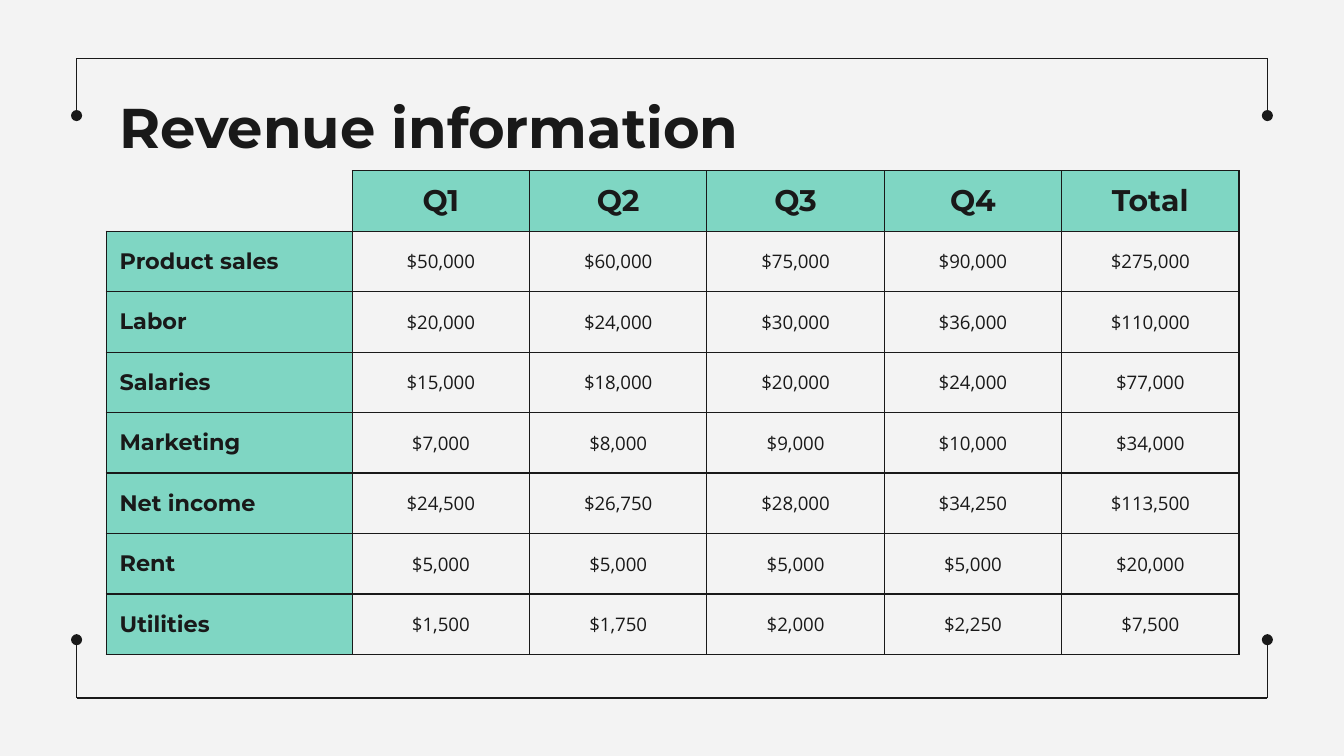
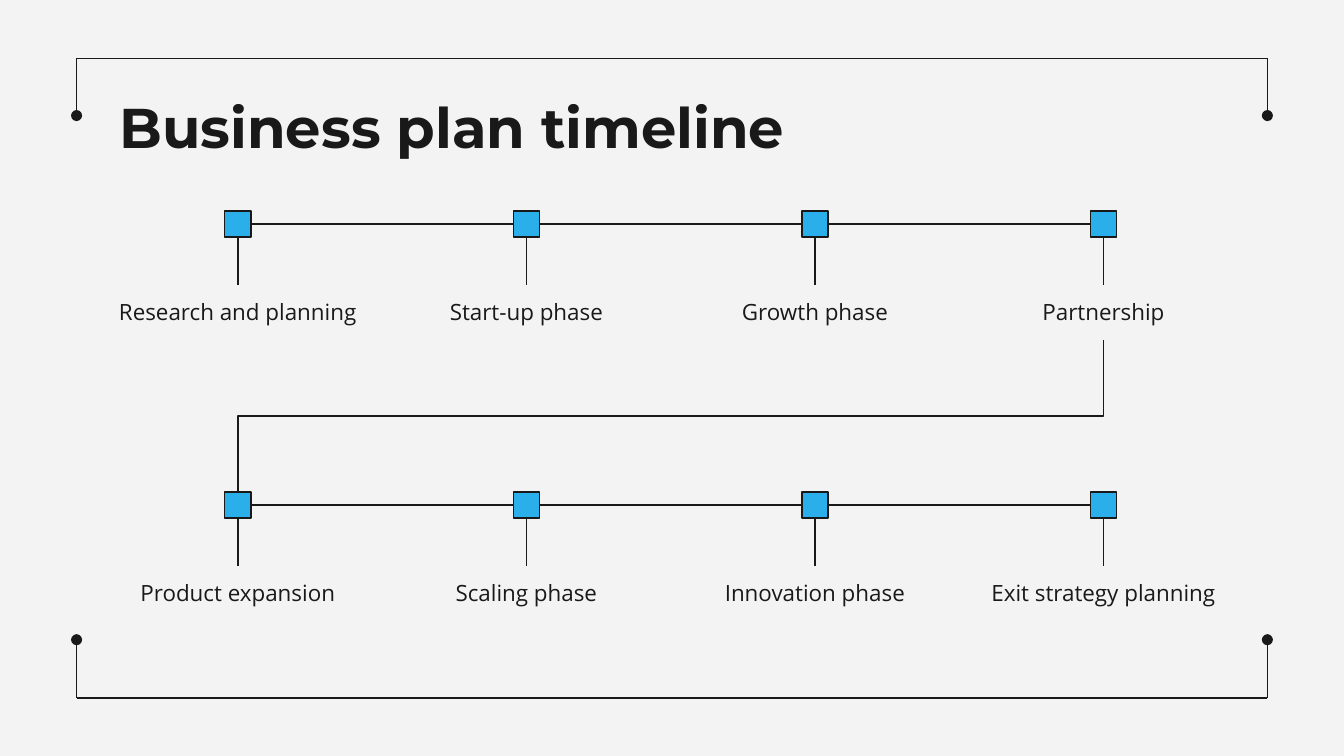
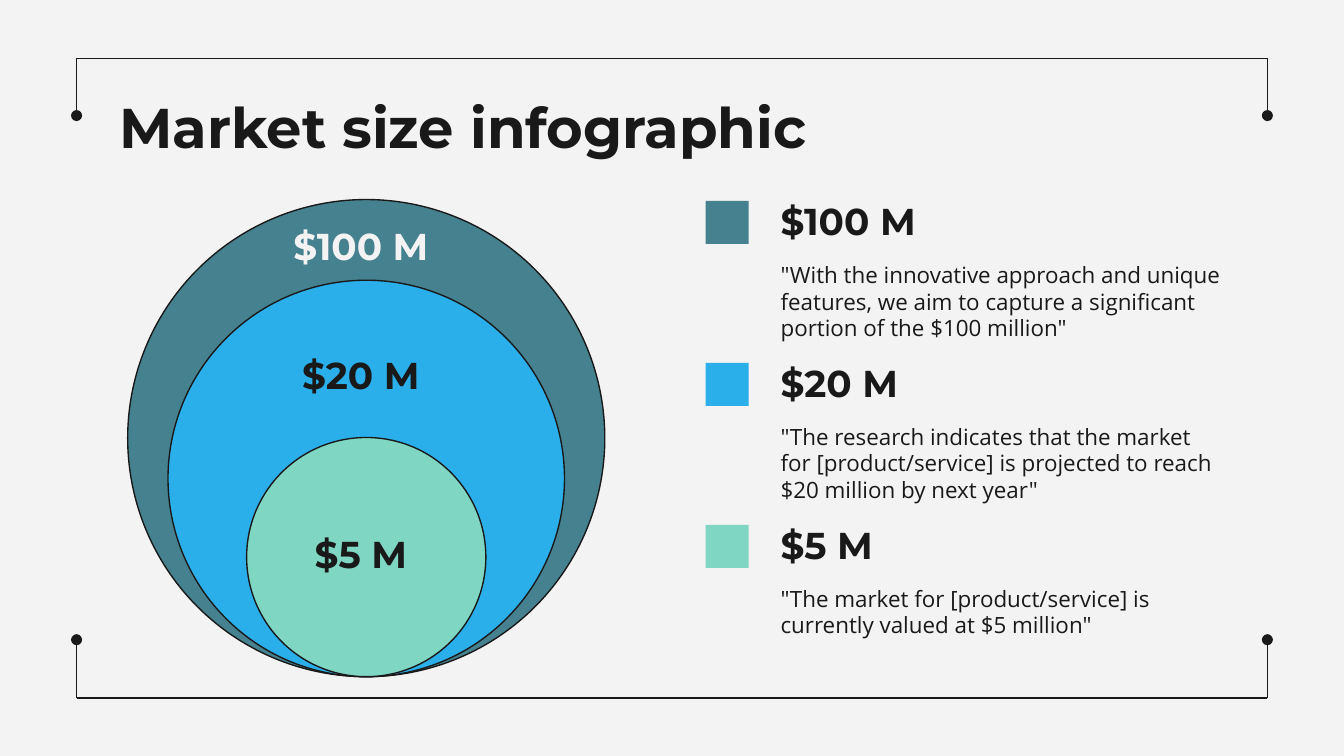
from dataclasses import dataclass

from lxml.etree import SubElement
from pptx import Presentation
from pptx.dml.color import RGBColor as Color
from pptx.enum.shapes import MSO_CONNECTOR as Link, MSO_SHAPE as Preset
from pptx.enum.text import MSO_ANCHOR as Anchor, PP_ALIGN as Align
from pptx.oxml import parse_xml
from pptx.oxml.ns import nsdecls, qn
from pptx.util import Inches, Pt

TOP, LEFT, BOTTOM, RIGHT = range(4)
GRID_COLUMNS = 100


@dataclass(frozen=True)
class Theme:
    """Colours, fonts and type sizes of the presentation."""

    paper: str = "F3F3F3"
    ink: str = "191919"
    mint: str = "7FD6C3"
    blue: str = "2AAFEB"
    teal: str = "45818E"
    heading: str = "Montserrat"
    body: str = "Open Sans"
    title_size: int = 30
    figure_size: int = 20
    header_size: int = 16
    body_size: int = 12
    value_size: int = 10
    line_width: float = 0.75


THEME = Theme()


def write_text(holder, text, size=THEME.body_size, font=THEME.body, color=THEME.ink,
               bold=False, align=Align.LEFT):
    """Write one formatted paragraph into a text frame."""
    paragraph = holder.paragraphs[0]
    paragraph.alignment = align
    run = paragraph.add_run()
    run.text = text
    run.font.size = Pt(size)
    run.font.name = font
    run.font.bold = bold
    run.font.color.rgb = Color.from_string(color)


class Deck:
    """Draws styled elements on the current slide, on a square grid."""

    def __init__(self, theme):
        """Start a wide presentation with a plain background."""
        self.theme = theme
        self.presentation = Presentation()
        self.presentation.slide_width = Inches(10)
        self.presentation.slide_height = Inches(5.625)
        fill = self.presentation.slide_master.background.fill
        fill.solid()
        fill.fore_color.rgb = Color.from_string(theme.paper)
        self.slide = None

    def grid(self, *counts):
        """Turn grid counts into lengths."""
        unit = self.presentation.slide_width / GRID_COLUMNS
        return [round(count * unit) for count in counts]

    def new_slide(self, title):
        """Add a slide with its frame and title."""
        self.slide = self.presentation.slides.add_slide(self.presentation.slide_layouts[6])
        left, right = 5.7, 94.3
        for edge, tip in ((4.35, 8.6), (51.95, 47.6)):
            self.connector((left, edge), (right, edge))
            for side in (left, right):
                self.connector((side, edge), (side, tip), dot=True)
        self.text((7.9, 5.9, 84.3, 6.3), title, size=self.theme.title_size,
                  font=self.theme.heading, bold=True)

    def text(self, box, text, anchor=Anchor.TOP, **style):
        """Add a wrapped text box."""
        shape = self.slide.shapes.add_textbox(*self.grid(*box))
        frame = shape.text_frame
        frame.word_wrap = True
        frame.vertical_anchor = anchor
        frame.margin_left = frame.margin_right = Inches(0.1)
        frame.margin_top = frame.margin_bottom = Inches(0.1)
        write_text(frame, text, **style)
        return shape

    def shape(self, preset, box, color, outlined=True):
        """Add a filled preset shape."""
        shape = self.slide.shapes.add_shape(preset, *self.grid(*box))
        shape.shadow.inherit = False
        shape.fill.solid()
        shape.fill.fore_color.rgb = Color.from_string(color)
        if outlined:
            self.stroke(shape.line)
        else:
            shape.line.fill.background()
        return shape

    def stroke(self, line):
        """Give a line the shared colour and width."""
        line.color.rgb = Color.from_string(self.theme.ink)
        line.width = Pt(self.theme.line_width)

    def connector(self, start, end, kind=Link.STRAIGHT, dot=False, quarter_turn=False):
        """Add a connector, optionally turned or ending in a dot."""
        connector = self.slide.shapes.add_connector(kind, *self.grid(*start, *end))
        self.stroke(connector.line)
        properties = connector._element.spPr
        if dot:
            SubElement(properties.find(qn("a:ln")), qn("a:tailEnd"), type="oval")
        if quarter_turn:
            properties.find(qn("a:xfrm")).set("rot", "5400000")
        SubElement(properties, qn("a:effectLst"))
        return connector

    def join(self, first, first_side, second, second_side):
        """Join the sides of two shapes with a straight connector."""
        connector = self.connector((0, 0), (1, 1))
        connector.begin_connect(first, first_side)
        connector.end_connect(second, second_side)

    def vertical_elbow(self, start, end):
        """Add an elbow that leaves and arrives vertically, going down and left."""
        width, height = start[0] - end[0], end[1] - start[1]
        center_x, center_y = (start[0] + end[0]) / 2, (start[1] + end[1]) / 2
        self.connector((center_x - height / 2, center_y - width / 2),
                       (center_x + height / 2, center_y + width / 2),
                       kind=Link.ELBOW, quarter_turn=True)

    def borders(self, cell, hidden=()):
        """Draw the four borders of a cell except the hidden ones."""
        properties = cell._tc.get_or_add_tcPr()
        for index, side in enumerate("LRTB"):
            paint = ("<a:noFill/>" if side in hidden else
                     f'<a:solidFill><a:srgbClr val="{self.theme.ink}"/></a:solidFill>')
            properties.insert(index, parse_xml(
                f'<a:ln{side} {nsdecls("a")} w="{Pt(self.theme.line_width)}">{paint}</a:ln{side}>'))

    def cell(self, cell, text, color=None, margins=(0, 0), hidden=(), **style):
        """Fill in one table cell."""
        cell.margin_left = cell.margin_right = Inches(margins[0])
        cell.margin_top = cell.margin_bottom = Inches(margins[1])
        cell.vertical_anchor = Anchor.MIDDLE
        if color:
            cell.fill.solid()
            cell.fill.fore_color.rgb = Color.from_string(color)
        else:
            cell.fill.background()
        self.borders(cell, hidden)
        if text:
            write_text(cell.text_frame, text, **style)

    def table(self, origin, widths, row_height, rows):
        """Add a table with a header row and a header column."""
        theme = self.theme
        box = self.grid(*origin, sum(widths), row_height * len(rows))
        table = self.slide.shapes.add_table(len(rows), len(widths), *box).table
        table.first_row = table.horz_banding = False
        for column, width in zip(table.columns, self.grid(*widths)):
            column.width = width
        for row in table.rows:
            row.height = self.grid(row_height)[0]
        head = dict(color=theme.mint, font=theme.heading, bold=True)
        header = dict(head, margins=(0.1, 0.07), size=theme.header_size, align=Align.CENTER)
        label = dict(head, margins=(0.1, 0), size=theme.body_size)
        value = dict(size=theme.value_size, align=Align.CENTER)
        for row_index, row in enumerate(rows):
            for column_index, text in enumerate(row):
                if not text:
                    style = dict(hidden="LT")
                elif row_index == 0:
                    style = header
                else:
                    style = value if column_index else label
                self.cell(table.cell(row_index, column_index), text, **style)


def revenue_slide(deck):
    """Build the revenue table."""
    deck.new_slide("Revenue information")
    rows = [
        ("", "Q1", "Q2", "Q3", "Q4", "Total"),
        ("Product sales", "$50,000", "$60,000", "$75,000", "$90,000", "$275,000"),
        ("Labor", "$20,000", "$24,000", "$30,000", "$36,000", "$110,000"),
        ("Salaries", "$15,000", "$18,000", "$20,000", "$24,000", "$77,000"),
        ("Marketing", "$7,000", "$8,000", "$9,000", "$10,000", "$34,000"),
        ("Net income", "$24,500", "$26,750", "$28,000", "$34,250", "$113,500"),
        ("Rent", "$5,000", "$5,000", "$5,000", "$5,000", "$20,000"),
        ("Utilities", "$1,500", "$1,750", "$2,000", "$2,250", "$7,500"),
    ]
    deck.table((7.9, 12.7), [18.3] + [13.2] * 5, 4.5, rows)


def timeline_slide(deck):
    """Build the two rows of milestones."""
    deck.new_slide("Business plan timeline")
    phases = [
        ("Research and planning", "Start-up phase", "Growth phase", "Partnership"),
        ("Product expansion", "Scaling phase", "Innovation phase", "Exit strategy planning"),
    ]
    first_center, column_step = 17.7, 21.47
    first_top, row_step = 15.7, 20.9
    marker_size, label_drop = 1.95, 5.5
    label_width, label_height = 19.8, 4.1
    for row, names in enumerate(phases):
        top = first_top + row * row_step
        previous = None
        for column, name in enumerate(names):
            center = first_center + column * column_step
            marker = deck.shape(Preset.RECTANGLE, (center - marker_size / 2, top,
                                marker_size, marker_size), deck.theme.blue)
            label = deck.text((center - label_width / 2, top + label_drop,
                               label_width, label_height), name, align=Align.CENTER)
            deck.join(marker, BOTTOM, label, TOP)
            if previous:
                deck.join(previous, RIGHT, marker, LEFT)
            previous = marker
    last_center = first_center + 3 * column_step
    deck.vertical_elbow((last_center, first_top + label_drop + label_height),
                        (first_center, first_top + row_step))


def market_slide(deck):
    """Build the nested circles and their legend."""
    deck.new_slide("Market size infographic")
    theme = deck.theme
    figure = dict(size=theme.figure_size, font=theme.heading, bold=True)
    markets = [
        ("$100 M", theme.teal, theme.paper, 35.5, 15.6,
         '"With the innovative approach and unique features, '
         'we aim to capture a significant portion of the $100 million"'),
        ("$20 M", theme.blue, theme.ink, 29.5, 25.2,
         '"The research indicates that the market for [product/service] '
         'is projected to reach $20 million by next year"'),
        ("$5 M", theme.mint, theme.ink, 17.8, 38.5,
         '"The market for [product/service] is currently valued at $5 million"'),
    ]
    circle_center, circle_bottom = 27.25, 50.35
    for index, (amount, color, text_color, diameter, label_top, note) in enumerate(markets):
        deck.shape(Preset.OVAL, (circle_center - diameter / 2, circle_bottom - diameter,
                                 diameter, diameter), color)
        deck.text((19.9, label_top, 13.9, 6.1), amount, color=text_color,
                  align=Align.CENTER, **figure)
        legend_top = 14.5 + index * 12.05
        deck.shape(Preset.RECTANGLE, (52.5, legend_top + 0.45, 3.2, 3.2), color, outlined=False)
        deck.text((57.1, legend_top, 35, 4.6), amount, anchor=Anchor.BOTTOM, **figure)
        deck.text((57.1, legend_top + 3.9, 35, 7.2), note)


def main():
    """Build and save the presentation."""
    deck = Deck(THEME)
    for build in (revenue_slide, timeline_slide, market_slide):
        build(deck)
    deck.presentation.save("out.pptx")


if __name__ == "__main__":
    main()
